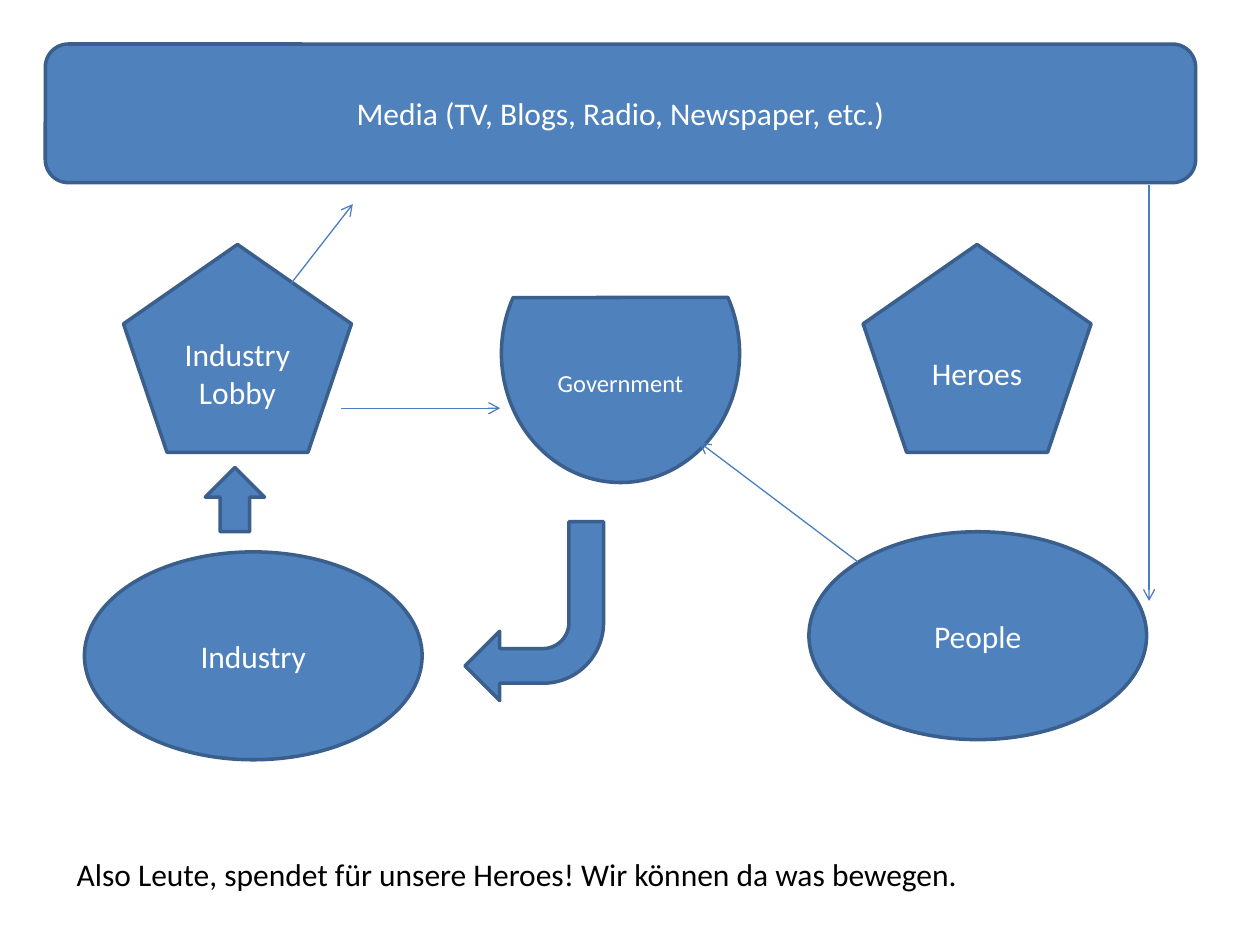
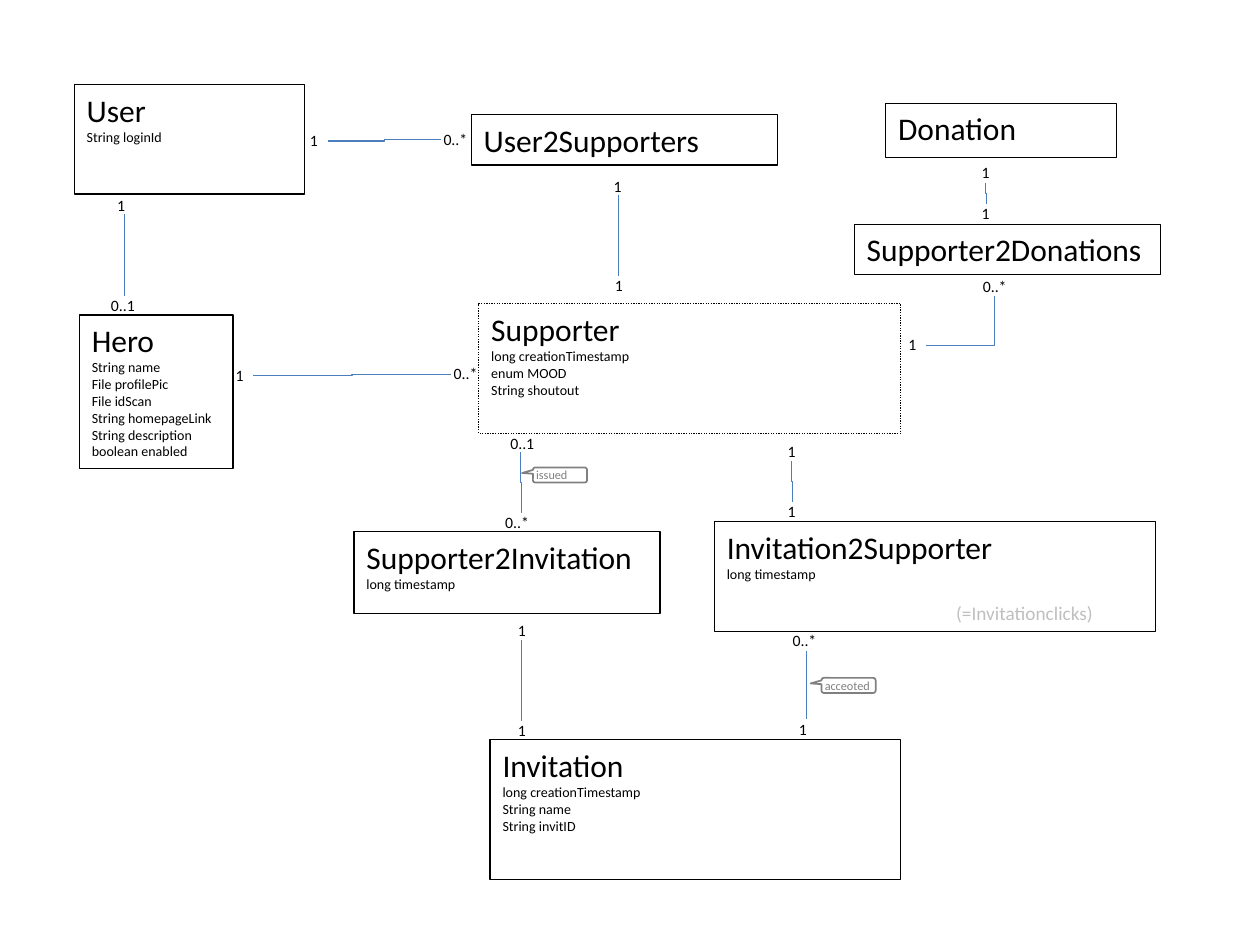
from lxml import etree
from pptx import Presentation
from pptx.dml.color import RGBColor
from pptx.enum import dml, shapes, text
from pptx.oxml.ns import qn
from pptx.util import Inches, Pt

BLUE = RGBColor(0x4F, 0x81, 0xBD)
DARK_BLUE = RGBColor(0x3A, 0x5F, 0x8C)
LINK_BLUE = RGBColor(0x4B, 0x7E, 0xBC)
WHITE = RGBColor(0xFF, 0xFF, 0xFF)
BLACK = RGBColor(0, 0, 0)
GREY = RGBColor(0x80, 0x80, 0x80)
PALE_GREY = RGBColor(0xBF, 0xBF, 0xBF)

KIND = shapes.MSO_SHAPE
LINK = shapes.MSO_CONNECTOR
TOP, MIDDLE = text.MSO_ANCHOR.TOP, text.MSO_ANCHOR.MIDDLE
LEFT, CENTER = text.PP_ALIGN.LEFT, text.PP_ALIGN.CENTER
GROW = text.MSO_AUTO_SIZE.SHAPE_TO_FIT_TEXT
QUARTER_TURN = "5400000"


def assign(target, **values):
    for name, value in values.items():
        setattr(target, name, value)


class Diagram:
    font = "Calibri"

    def __init__(self, deck):
        self.deck = deck
        self.slide = None

    def new_slide(self):
        self.slide = self.deck.slides.add_slide(self.deck.slide_layouts[6])

    def fill_text(self, shape, lines, sizes, color, align=LEFT, insets=(0.1, 0.05, 0.1, 0.05), **frame_format):
        frame = shape.text_frame
        sides = ("margin_left", "margin_top", "margin_right", "margin_bottom")
        assign(frame, **frame_format, **dict(zip(sides, map(Inches, insets))))
        for index, line in enumerate(lines):
            paragraph = frame.add_paragraph() if index else frame.paragraphs[0]
            paragraph.alignment = align
            run = paragraph.add_run()
            run.text = line
            size = sizes[min(index, len(sizes) - 1)]
            assign(run.font, name=self.font, size=Pt(size))
            run.font.color.rgb = color

    def outline(self, kind, place, fill, line, width, adjust=()):
        shape = self.slide.shapes.add_shape(kind, *map(Inches, place))
        shape.shadow.inherit = False
        if fill is None:
            shape.fill.background()
        else:
            shape.fill.solid()
            shape.fill.fore_color.rgb = fill
        shape.line.color.rgb = line
        shape.line.width = Pt(width)
        for index, value in enumerate(adjust):
            shape.adjustments[index] = value
        return shape

    def actor(self, kind, place, lines=(), size=18, adjust=(), rotation=0, top=0.05):
        shape = self.outline(kind, place, BLUE, DARK_BLUE, 2, adjust)
        shape.rotation = rotation
        self.fill_text(shape, lines, [size], WHITE, CENTER, (0.1, top, 0.1, 0.05),
                       vertical_anchor=MIDDLE, word_wrap=True)

    def entity(self, place, name, *fields, fill=None, dash=None):
        shape = self.outline(KIND.RECTANGLE, place, fill, BLACK, 0.75)
        if dash:
            shape.line.dash_style = dash
        self.fill_text(shape, (name, *fields), [18, 8], BLACK,
                       vertical_anchor=TOP, word_wrap=False)

    def callout(self, left, top, words):
        shape = self.outline(KIND.ROUNDED_RECTANGULAR_CALLOUT, (left, top, 0.43, 0.12),
                             None, GREY, 1, (-0.7, -0.13, 0.17))
        self.fill_text(shape, [words], [7], GREY, insets=(0.02, 0, 0, 0),
                       vertical_anchor=MIDDLE, word_wrap=True)

    def multiplicity(self, left, top, words, width):
        box = self.slide.shapes.add_textbox(*map(Inches, (left, top, width, 0.15)))
        self.fill_text(box, [words], [9], BLACK, insets=(0.02, 0, 0, 0),
                       word_wrap=True, auto_size=GROW)

    def note(self, place, words, size, color):
        box = self.slide.shapes.add_textbox(*map(Inches, place))
        self.fill_text(box, [words], [size], color, word_wrap=False, auto_size=GROW)

    def link(self, kind, start, end):
        connector = self.slide.shapes.add_connector(kind, *map(Inches, (*start, *end)))
        connector.line.color.rgb = LINK_BLUE
        connector.line.width = Pt(0.75)
        properties = connector._element.spPr
        etree.SubElement(properties, qn("a:effectLst"))
        return properties

    def arrow(self, start, end):
        properties = self.link(LINK.STRAIGHT, start, end)
        etree.SubElement(properties.find(qn("a:ln")), qn("a:tailEnd"), type="arrow")

    def across(self, start, end):
        self.link(LINK.ELBOW, start, end)

    def down(self, start, end, preset="bentConnector3"):
        (x1, y1), (x2, y2) = start, end
        middle_x, middle_y = (x1 + x2) / 2, (y1 + y2) / 2
        half_x, half_y = (y2 - y1) / 2, (x1 - x2) / 2
        properties = self.link(LINK.ELBOW, (middle_x - half_x, middle_y - half_y),
                               (middle_x + half_x, middle_y + half_y))
        properties.find(qn("a:xfrm")).set("rot", QUARTER_TURN)
        properties.find(qn("a:prstGeom")).set("prst", preset)


def draw_influence(diagram):
    diagram.new_slide()
    diagram.actor(KIND.CHORD, (3.98, 1.78, 1.89, 2.05), ["Government"], 14,
                  adjust=(199.47, 124.47), top=0.52)
    for name, left, top in (("Industry", 0.67, 4.38), ("People", 6.42, 4.22)):
        diagram.actor(KIND.OVAL, (left, top, 2.68, 1.65), [name])
    diagram.actor(KIND.ROUNDED_RECTANGLE, (0.36, 0.35, 9.13, 1.1),
                  ["Media (TV, Blogs, Radio, Newspaper, etc.)"])
    for lines, left in ((["Industry", "Lobby"], 0.98), (["Heroes"], 6.85)):
        diagram.actor(KIND.REGULAR_PENTAGON, (left, 1.94, 1.81, 1.65), lines)
    diagram.actor(KIND.RIGHT_ARROW, (1.61, 3.73, 0.51, 0.47), rotation=270)
    diagram.actor(KIND.BENT_ARROW, (3.69, 4.14, 1.1, 1.42), rotation=180)
    for start, end in (
        ((2.31, 2.25), (2.8, 1.62)),
        ((2.71, 3.24), (3.97, 3.24)),
        ((9.12, 1.47), (9.12, 4.77)),
        ((6.81, 4.46), (5.55, 3.51)),
    ):
        diagram.arrow(start, end)
    diagram.note((0.51, 6.74, 7.28, 0.4),
                 "Also Leute, spendet für unsere Heroes! Wir können da was bewegen.", 18, BLACK)


def draw_data_model(diagram):
    diagram.new_slide()
    diagram.entity((0.59, 0.67, 1.83, 0.87), "User", "String loginId")
    diagram.entity((3.8, 2.41, 3.35, 1.03), "Supporter", "long creationTimestamp",
                   "enum MOOD", "String shoutout", dash=dml.MSO_LINE.ROUND_DOT)
    diagram.entity((0.63, 2.5, 1.22, 1.22), "Hero", "String name", "File profilePic",
                   "File idScan", "String homepageLink", "String description",
                   "boolean enabled")
    diagram.entity((3.89, 5.87, 3.26, 1.11), "Invitation", "long creationTimestamp",
                   "String name", "String invitID")
    diagram.entity((5.67, 4.14, 3.5, 0.87), "Invitation2Supporter", "long timestamp")
    diagram.entity((7.03, 0.82, 1.83, 0.43), "Donation")
    diagram.entity((2.81, 4.22, 2.43, 0.65), "Supporter2Invitation", "long timestamp",
                   fill=WHITE)
    diagram.entity((6.78, 1.78, 2.43, 0.4), "Supporter2Donations", fill=WHITE)
    diagram.entity((3.74, 0.91, 2.43, 0.4), "User2Supporters", fill=WHITE)

    for start, end in (((3.58, 2.97), (2.01, 2.98)), ((3.5, 1.11), (2.6, 1.12))):
        diagram.across(start, end)
    for start, end in (
        ((4.13, 3.59), (4.14, 4.07)),
        ((6.28, 3.66), (6.29, 3.98)),
        ((0.99, 1.7), (0.99, 2.35)),
        ((6.4, 5.17), (6.4, 5.71)),
        ((7.82, 1.45), (7.83, 1.62)),
        ((4.14, 5.08), (4.14, 5.72)),
        ((4.91, 1.55), (4.91, 2.19)),
    ):
        diagram.down(start, end)
    diagram.down((7.89, 2.35), (7.35, 2.74), "bentConnector2")

    places_by_multiplicity = {
        ("1", 0.16): ((0.91, 1.55), (1.85, 2.9), (7.19, 2.66), (2.44, 1.04)),
        ("1", 0.11): ((6.23, 3.98), (6.23, 3.51), (6.32, 5.71), (7.77, 1.62), (7.77, 1.29),
                      (4.09, 5.72), (4.09, 4.93), (4.86, 2.19), (4.85, 1.4)),
        ("0..*", 0.22): ((3.58, 2.89), (6.27, 5.01), (7.78, 2.2), (3.5, 1.03)),
        ("0..*", 0.3): ((3.99, 4.07),),
        ("0..1", 0.22): ((4.03, 3.44),),
        ("0..1", 0.25): ((0.86, 2.35),),
    }
    for (words, width), places in places_by_multiplicity.items():
        for left, top in places:
            diagram.multiplicity(left, top, words, width)

    diagram.callout(4.23, 3.71, "issued")
    diagram.callout(6.52, 5.38, "acceoted")
    diagram.note((7.49, 4.72, 1.3, 0.29), "(=Invitationclicks)", 11, PALE_GREY)


def main():
    deck = Presentation()
    assign(deck, slide_width=Inches(10), slide_height=Inches(7.5))
    diagram = Diagram(deck)
    draw_influence(diagram)
    draw_data_model(diagram)
    deck.save("out.pptx")


if __name__ == "__main__":
    main()
